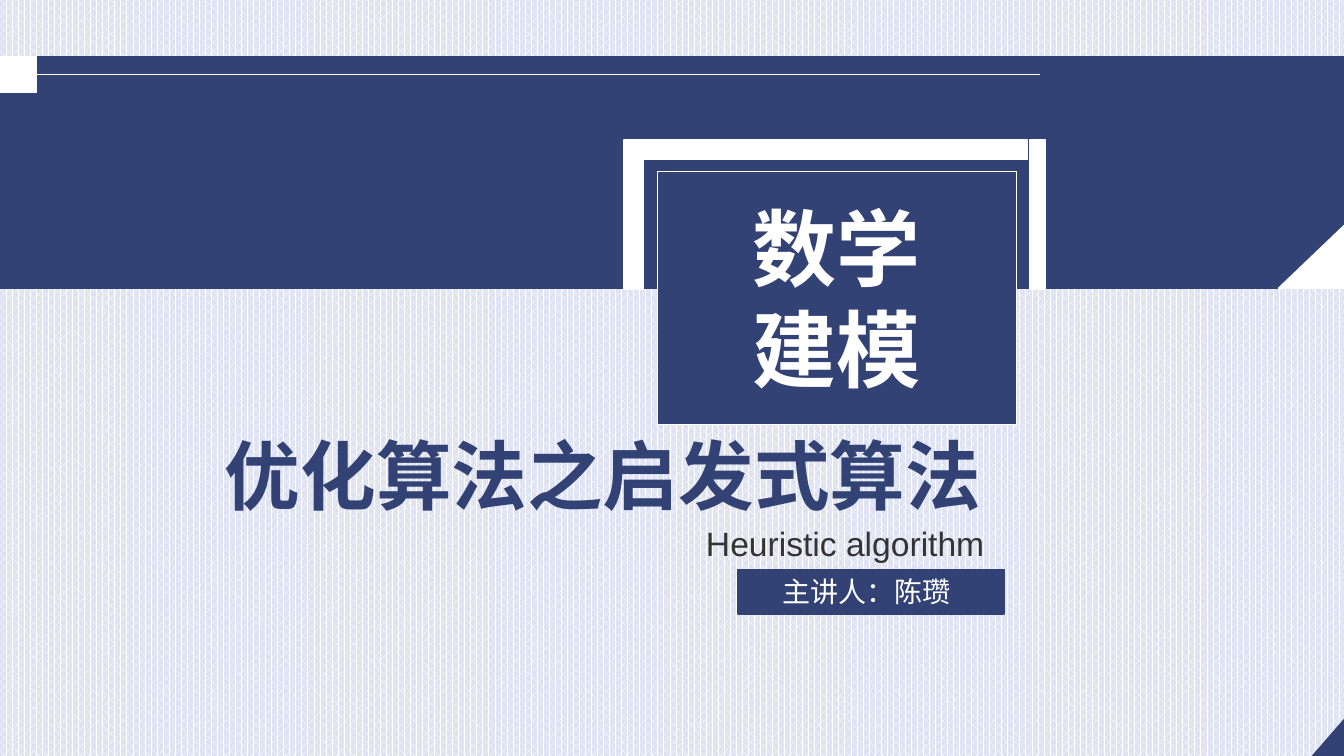
from pptx import Presentation
from pptx.util import Inches, Pt
from pptx.dml.color import RGBColor
from pptx.enum.dml import MSO_PATTERN
from pptx.enum.shapes import MSO_CONNECTOR, MSO_SHAPE
from pptx.enum.text import PP_ALIGN
from lxml import etree

RECT, WEDGE = MSO_SHAPE.RECTANGLE, MSO_SHAPE.RIGHT_TRIANGLE
STRAIGHT = MSO_CONNECTOR.STRAIGHT
DOTS = MSO_PATTERN.PERCENT_60
CENTER, RIGHT = PP_ALIGN.CENTER, PP_ALIGN.RIGHT
NAVY, WHITE, PALE, GRAY = "324274", "FFFFFF", "DFE3F1", "333333"
SANS, HAN = "Arial", "Noto Sans CJK SC"
NS = "{http://schemas.openxmlformats.org/drawingml/2006/main}"


def color(code):
    """Turn a hex string into a colour."""
    return RGBColor.from_string(code)


def block(slide, box, fill, line=None, kind=RECT, turn=0):
    """Draw a filled shape with a thin outline."""
    shape = slide.shapes.add_shape(kind, *map(Inches, box))
    shape.shadow.inherit = False
    shape.fill.solid()
    shape.fill.fore_color.rgb = color(fill)
    shape.line.color.rgb = color(line or fill)
    shape.line.width = Pt(1)
    shape.rotation = turn


def write(slide, box, text, size=24, font=HAN, ink=WHITE, bold=False, align=CENTER):
    """Place one paragraph of wrapped text."""
    frame = slide.shapes.add_textbox(*map(Inches, box)).text_frame
    frame.word_wrap = True
    par = frame.paragraphs[0]
    par.alignment = align
    run = par.add_run()
    run.text = text
    run.font.size, run.font.bold = Pt(size), bold
    run.font.name = font
    run.font.color.rgb = color(ink)
    east = etree.Element(NS + "ea", typeface=HAN)
    run.font._element.find(NS + "latin").addnext(east)


def rule(slide, left, right, top):
    """Draw a white hairline across the band."""
    line = slide.shapes.add_connector(
        STRAIGHT, Inches(left), Inches(top), Inches(right), Inches(top))
    line.line.color.rgb = color(WHITE)
    line.line.width = Pt(0.5)
    etree.SubElement(line._element.spPr, NS + "effectLst")


def banner(slide, left, top, width, height):
    """Draw the navy band with its white corners and hairline."""
    block(slide, (left, top, width, height), NAVY)
    block(slide, (0, top, 0.36, 0.36), WHITE)
    block(slide, (12.7, top + 1.41, 0.87, 0.91), WHITE, kind=WEDGE, turn=270)
    rule(slide, 0.36, 10.32, top + 0.18)


def panel(slide, left, top, width, height):
    """Draw the title panel inside its open white frame."""
    block(slide, (left, top, width, height), NAVY, WHITE)
    edge = top - 0.31
    block(slide, (left - 0.33, edge, 0.19, 1.48), WHITE)
    block(slide, (left + 3.69, edge, 0.16, 1.48), WHITE)
    block(slide, (left - 0.24, edge, 3.91, 0.19), WHITE)
    write(slide, (left + 0.46, top + 0.2, 2.64, 2.12), "数学建模", size=60, bold=True)


def heading(slide, left, top, width):
    """Write the topic, its English name and the speaker badge."""
    write(slide, (left, top, width, 1.01), "优化算法之启发式算法",
          size=54, ink=NAVY, bold=True)
    write(slide, (left + 2.88, top + 0.93, 6.12, 0.5), "Heuristic algorithm",
          font=SANS, ink=GRAY, align=RIGHT)
    badge = top + 1.44
    block(slide, (left + 6.46, badge, 2.64, 0.44), NAVY)
    write(slide, (left + 4.25, badge, 4.42, 0.44), "主讲人：陈瓒",
          size=20, font=SANS, align=RIGHT)


def cover(deck):
    """Build the cover slide."""
    slide = deck.slides.add_slide(deck.slide_layouts[6])
    fill = slide.background.fill
    fill.patterned()
    fill.pattern = DOTS
    fill.fore_color.rgb = color(WHITE)
    fill.back_color.rgb = color(PALE)
    banner(slide, -0.25, 0.56, 13.83, 2.3)
    panel(slide, 6.52, 1.7, 3.56, 2.51)
    heading(slide, 0.86, 4.21, 10.24)
    block(slide, (12.75, 7.35, 0.91, 0.25), NAVY, turn=311)


def main():
    """Make the deck and save it."""
    deck = Presentation()
    deck.slide_width, deck.slide_height = Inches(13.33), Inches(7.5)
    cover(deck)
    deck.save("out.pptx")


if __name__ == "__main__":
    main()
